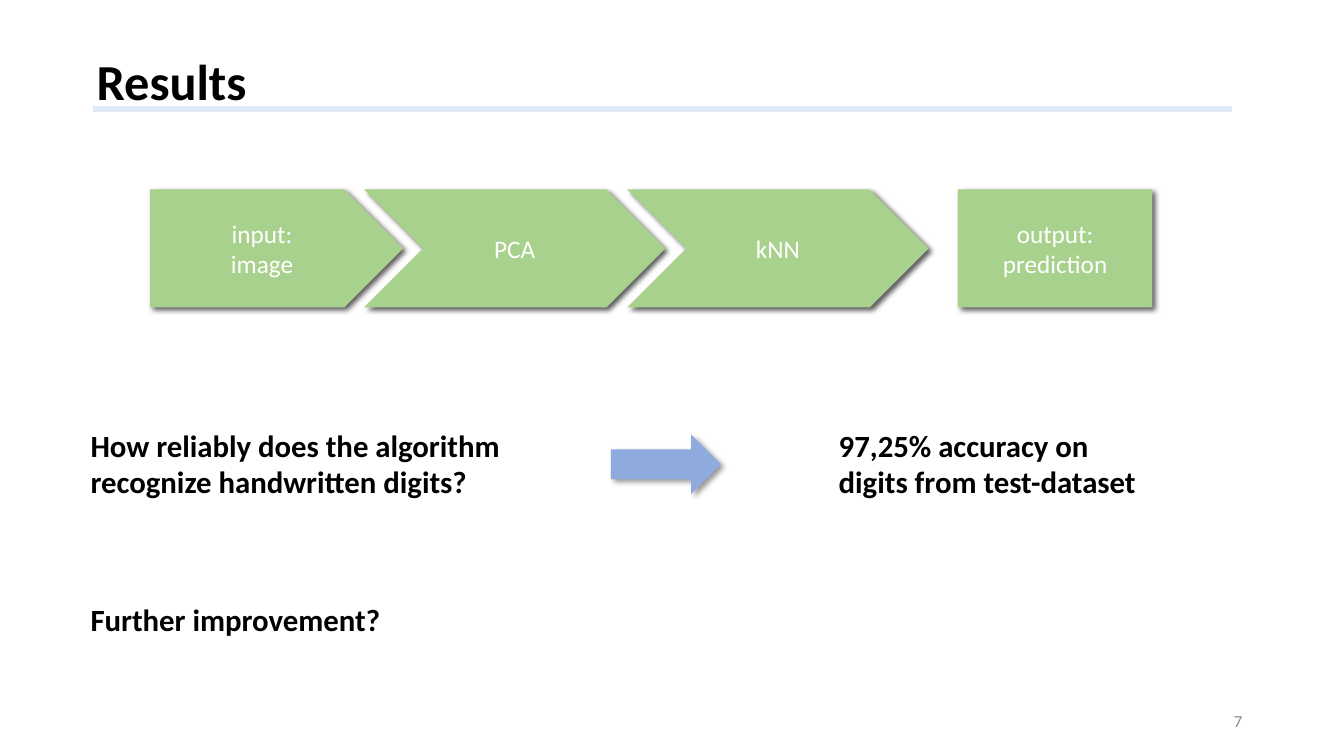
from dataclasses import dataclass

from lxml.etree import SubElement
from pptx import Presentation
from pptx.dml.color import RGBColor
from pptx.enum.shapes import MSO_CONNECTOR as Connector, MSO_SHAPE as Shape
from pptx.enum.text import MSO_ANCHOR as Anchor, PP_ALIGN as Align
from pptx.oxml.ns import qn
from pptx.util import Inches, Pt

# Content: stage outline, left, width, lines of text
STAGES = [
    (Shape.RECTANGLE, 9.5, 1.93, ["output: prediction"]),
    (Shape.PENTAGON, 1.49, 2.51, ["input:", "image"]),
    (Shape.CHEVRON, 3.61, 2.99, ["PCA"]),
    (Shape.CHEVRON, 6.22, 2.99, ["kNN"]),
]
STAGE_TOP, STAGE_HEIGHT = 1.88, 1.17

# Statements: left, top, width, height, text
STATEMENTS = [
    (0.8, 4.18, 4.49, 0.84, "How reliably does the algorithm recognize handwritten digits?"),
    (8.22, 4.18, 3.21, 0.84, "97,25% accuracy on digits from test-dataset"),
    (0.8, 5.91, 4.49, 0.47, "Further improvement?"),
]


@dataclass(frozen=True)
class Theme:
    font: str = "Calibri"
    black: str = "000000"
    white: str = "FFFFFF"
    grey: str = "8C8C8C"
    rule: str = "DEEBF7"
    stage: str = "A9D18E"
    arrow: str = "8FAADC"
    title_size: int = 36
    statement_size: int = 22
    stage_size: int = 18
    number_size: int = 12


THEME = Theme()


def write(box, lines, size, color, bold=False, align=Align.LEFT, anchor=Anchor.TOP):
    frame = box.text_frame
    frame.word_wrap = True
    frame.vertical_anchor = anchor
    for index, line in enumerate(lines):
        para = frame.add_paragraph() if index else frame.paragraphs[0]
        para.alignment = align
        span = para.add_run()
        span.text = line
        span.font.name = THEME.font
        span.font.size = Pt(size)
        span.font.bold = bold
        span.font.color.rgb = RGBColor.from_string(color)


def add_text(page, left, top, width, height, text, size, color, **style):
    box = page.shapes.add_textbox(Inches(left), Inches(top), Inches(width), Inches(height))
    write(box, [text], size, color, **style)
    return box


def add_block(page, outline, left, top, width, height, fill, opacity):
    block = page.shapes.add_shape(
        outline, Inches(left), Inches(top), Inches(width), Inches(height))
    block.fill.solid()
    block.fill.fore_color.rgb = RGBColor.from_string(fill)
    block.line.fill.background()
    # Soft shadow towards the lower right
    block.shadow.inherit = False
    effects = block.element.spPr.find(qn("a:effectLst"))
    shadow = SubElement(effects, qn("a:outerShdw"), blurRad=str(Pt(4)), dist=str(Pt(3)),
                        dir=str(45 * 60000), algn="tl", rotWithShape="0")
    tint = SubElement(shadow, qn("a:srgbClr"), val=THEME.black)
    SubElement(tint, qn("a:alpha"), val=str(opacity * 1000))
    return block


def main():
    deck = Presentation()
    deck.slide_width, deck.slide_height = Inches(13.33), Inches(7.5)
    page = deck.slides.add_slide(deck.slide_layouts[6])

    # Title, slide number and rule
    title = add_text(page, 0.86, 0.4, 11.5, 0.88, "Results", THEME.title_size, THEME.black,
                     bold=True, anchor=Anchor.MIDDLE)
    title.text_frame.paragraphs[0].line_spacing = 0.9
    add_text(page, 9.42, 6.95, 3, 0.4, "7", THEME.number_size, THEME.grey,
             align=Align.RIGHT, anchor=Anchor.MIDDLE)
    rule = page.shapes.add_connector(
        Connector.STRAIGHT, Inches(0.92), Inches(1.08), Inches(12.22), Inches(1.08))
    rule.line.color.rgb = RGBColor.from_string(THEME.rule)
    rule.line.width = Pt(4.5)
    SubElement(rule.element.spPr, qn("a:effectLst"))

    # Processing stages
    for outline, left, width, lines in STAGES:
        block = add_block(page, outline, left, STAGE_TOP, width, STAGE_HEIGHT,
                          THEME.stage, opacity=64)
        write(block, lines, THEME.stage_size, THEME.white,
              align=Align.CENTER, anchor=Anchor.MIDDLE)

    # Question, answer and outlook
    for statement in STATEMENTS:
        add_text(page, *statement, THEME.statement_size, THEME.black, bold=True)
    add_block(page, Shape.RIGHT_ARROW, 6.06, 4.31, 1.09, 0.59, THEME.arrow, opacity=40)

    deck.save("out.pptx")


if __name__ == "__main__":
    main()
